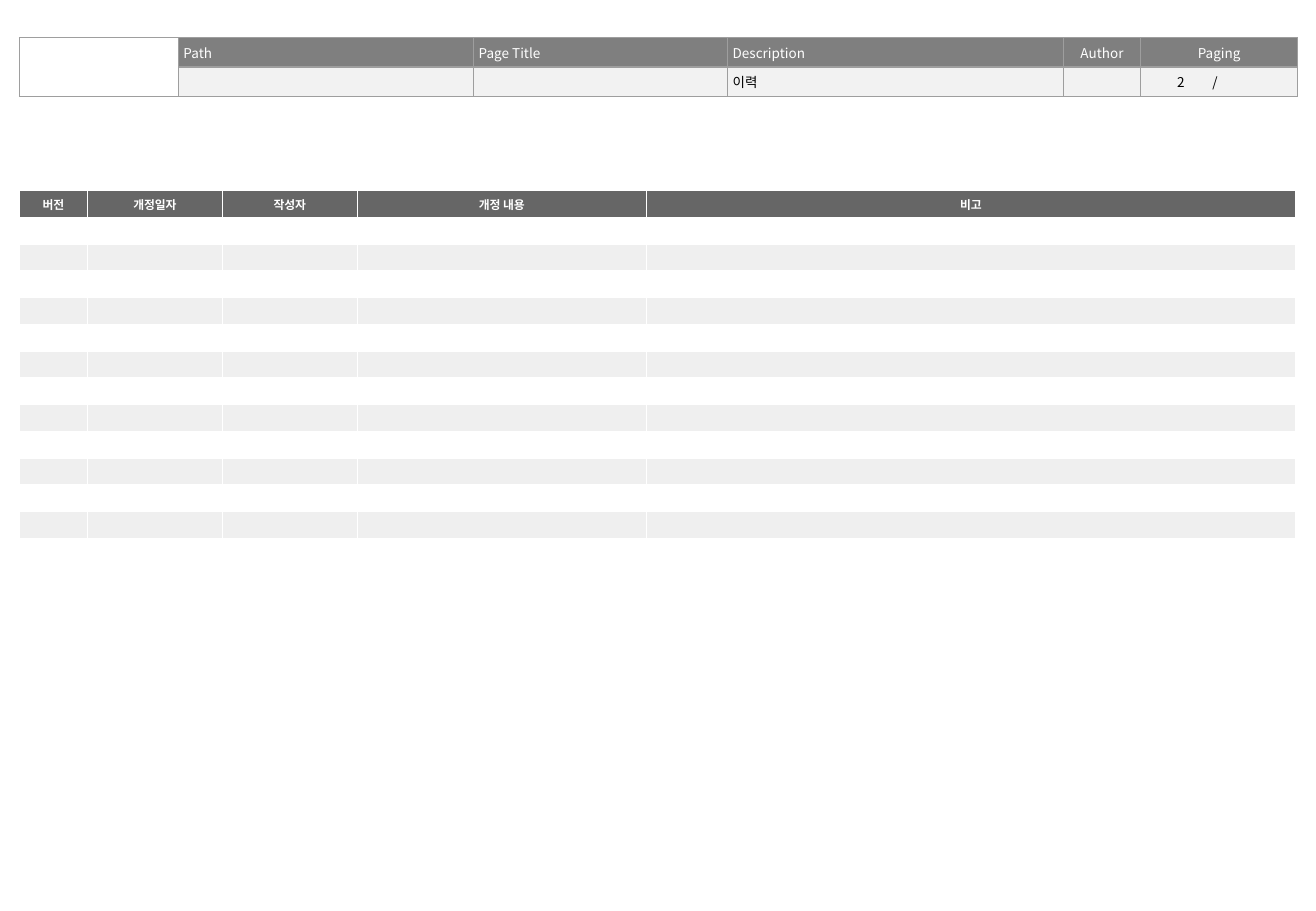
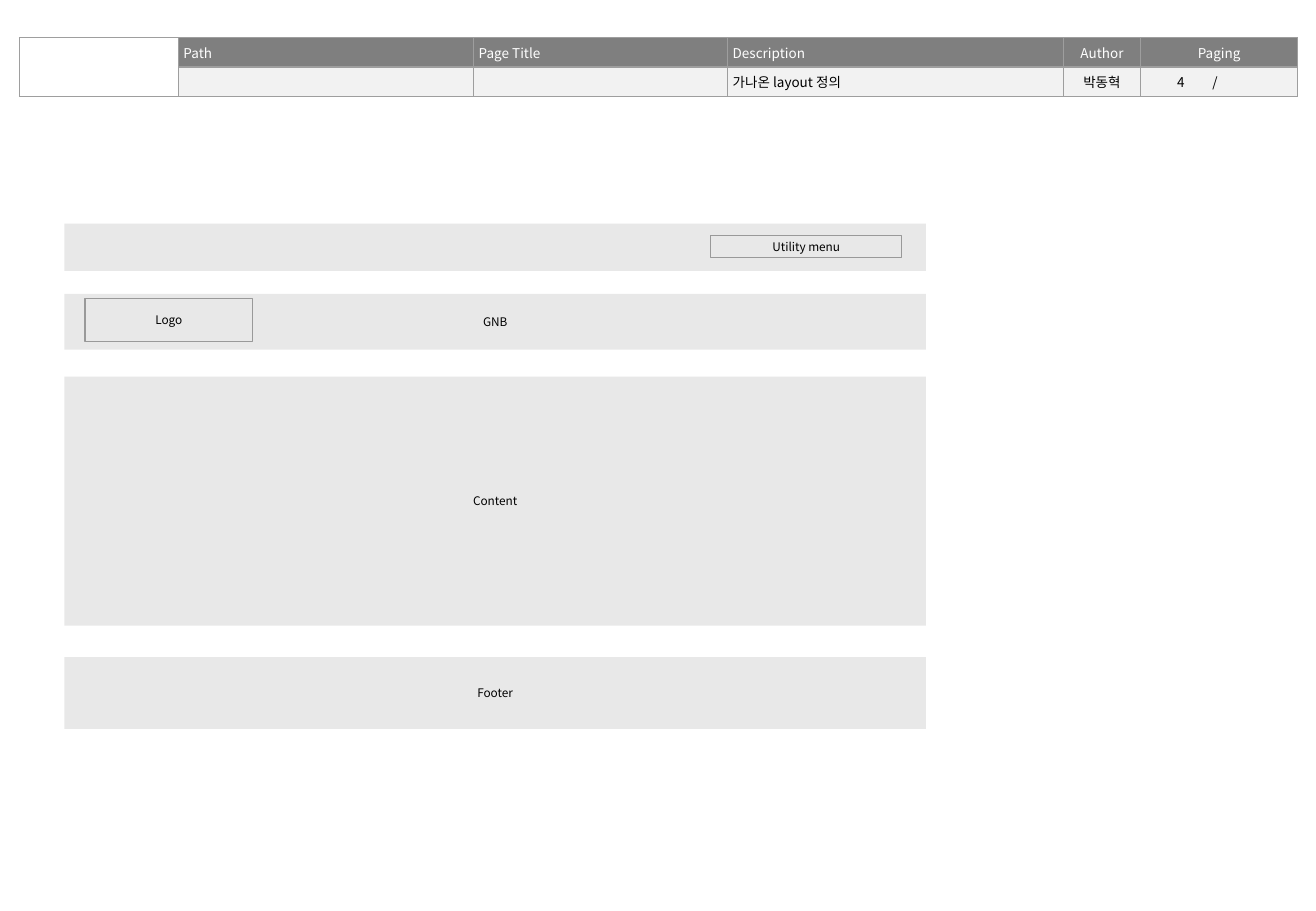
from lxml import etree
from pptx import Presentation
from pptx.dml.color import RGBColor
from pptx.enum.shapes import MSO_SHAPE
from pptx.enum.text import MSO_ANCHOR, PP_ALIGN
from pptx.oxml.ns import qn
from pptx.util import Inches, Pt

LEFT, CENTER, RIGHT = PP_ALIGN.LEFT, PP_ALIGN.CENTER, PP_ALIGN.RIGHT
TOP, MIDDLE = MSO_ANCHOR.TOP, MSO_ANCHOR.MIDDLE
RECTANGLE = MSO_SHAPE.RECTANGLE
FONT = "Noto Sans CJK KR"
BLACK, WHITE = "000000", "FFFFFF"
HEAD_FILL, INFO_FILL, INFO_LINE = "7F7F7F", "F2F2F2", "9E9E9E"
HISTORY_HEAD, HISTORY_BAND = "666666", "EFEFEF"
AREA_FILL, BOX_LINE = "E8E8E8", "999999"


def write(text_frame, text, size, color, align, bold=False):
    paragraph = text_frame.paragraphs[0]
    paragraph.alignment = align
    if text:
        paragraph.text = text
    else:
        etree.SubElement(paragraph._p, qn("a:endParaRPr"), sz=str(size * 100))
    font = paragraph.font
    font.size = Pt(size)
    font.bold = bold
    font.color.rgb = RGBColor.from_string(color)
    font.name = FONT
    etree.SubElement(font._element, qn("a:ea"), typeface=FONT)


def format_cell(cell, fill, line, anchor, side_margin=0.04, open_sides=""):
    cell.margin_left = cell.margin_right = Inches(side_margin)
    cell.margin_top = cell.margin_bottom = Inches(0.04)
    cell.vertical_anchor = anchor
    properties = cell._tc.get_or_add_tcPr()
    for side in "LRTB":
        border = etree.SubElement(properties, qn(f"a:ln{side}"), w=str(Pt(0.75)))
        if side in open_sides:
            etree.SubElement(border, qn("a:noFill"))
        else:
            solid = etree.SubElement(border, qn("a:solidFill"))
            etree.SubElement(solid, qn("a:srgbClr"), val=line)
    if fill:
        cell.fill.solid()
        cell.fill.fore_color.rgb = RGBColor.from_string(fill)
    else:
        cell.fill.background()


presentation = Presentation()
presentation.slide_width = Inches(10.83)
presentation.slide_height = Inches(7.5)

info_widths = [1.31, 2.43, 2.09, 2.76, 0.64, 0.4, 0.42, 0.47]
info_heads = ["", "Path", "Page Title", "Description", "Author", "Paging", "", ""]
info_aligns = [LEFT, LEFT, LEFT, LEFT, CENTER, CENTER, CENTER, CENTER]
open_sides = {5: "R", 6: "LR", 7: "L"}
pages = [("이력", "", "2"), ("가나온 layout 정의", "박동혁", "4")]

slides = []
for description, author, page in pages:
    slide = presentation.slides.add_slide(presentation.slide_layouts[6])
    slides.append(slide)
    info = slide.shapes.add_table(
        2, len(info_widths), Inches(0.16), Inches(0.31), Inches(10.51), Inches(0.48)
    ).table
    info.first_row = info.horz_banding = False
    info_values = ["", "", "", description, author, page, "/", ""]
    for column, width in enumerate(info_widths):
        info.columns[column].width = Inches(width)
        head, value = info.cell(0, column), info.cell(1, column)
        head_fill, value_fill = (HEAD_FILL, INFO_FILL) if column else (None, None)
        format_cell(head, head_fill, INFO_LINE, MIDDLE)
        format_cell(value, value_fill, INFO_LINE, MIDDLE,
                    0.02 if column == 6 else 0.04, open_sides.get(column, ""))
        align = info_aligns[column]
        write(head.text_frame, info_heads[column], 8, WHITE, align)
        write(value.text_frame, info_values[column], 8, BLACK,
              RIGHT if column == 5 else align)
    info.cell(0, 0).merge(info.cell(1, 0))
    info.cell(0, 5).merge(info.cell(0, 7))

history_slide, layout_slide = slides

history_columns = [("버전", 0.56), ("개정일자", 1.11), ("작성자", 1.11),
                   ("개정 내용", 2.38), ("비고", 5.34)]
history_rows, row_height = 13, 0.22
history = history_slide.shapes.add_table(
    history_rows, len(history_columns), Inches(0.16), Inches(1.57),
    Inches(10.5), Inches(row_height * history_rows)
).table
history.first_row = history.horz_banding = False
for column, (label, width) in enumerate(history_columns):
    history.columns[column].width = Inches(width)
    for row in range(history_rows):
        cell = history.cell(row, column)
        if row == 0:
            fill = HISTORY_HEAD
        else:
            fill = None if row % 2 else HISTORY_BAND
        format_cell(cell, fill, WHITE, TOP)
        write(cell.text_frame, "" if row else label, 7, WHITE, CENTER, row == 0)

areas = [
    ("", 0.53, 1.84, 7.09, 0.39, True),
    ("Utility menu", 5.85, 1.94, 1.57, 0.18, False),
    ("GNB", 0.53, 2.42, 7.09, 0.46, True),
    ("Content", 0.53, 3.1, 7.09, 2.05, True),
    ("Footer", 0.53, 5.41, 7.09, 0.59, True),
    ("Logo", 0.7, 2.46, 1.38, 0.35, False),
]
for label, left, top, width, height, filled in areas:
    shape = layout_slide.shapes.add_shape(
        RECTANGLE, Inches(left), Inches(top), Inches(width), Inches(height))
    shape.shadow.inherit = False
    if filled:
        shape.fill.solid()
        shape.fill.fore_color.rgb = RGBColor.from_string(AREA_FILL)
        shape.line.fill.background()
    else:
        shape.fill.background()
        shape.line.color.rgb = RGBColor.from_string(BOX_LINE)
        shape.line.width = Pt(0.75)
    text_frame = shape.text_frame
    text_frame.margin_top = text_frame.margin_bottom = 0
    text_frame.vertical_anchor = MIDDLE
    if label:
        write(text_frame, label, 7, BLACK, CENTER)

presentation.save("out.pptx")
